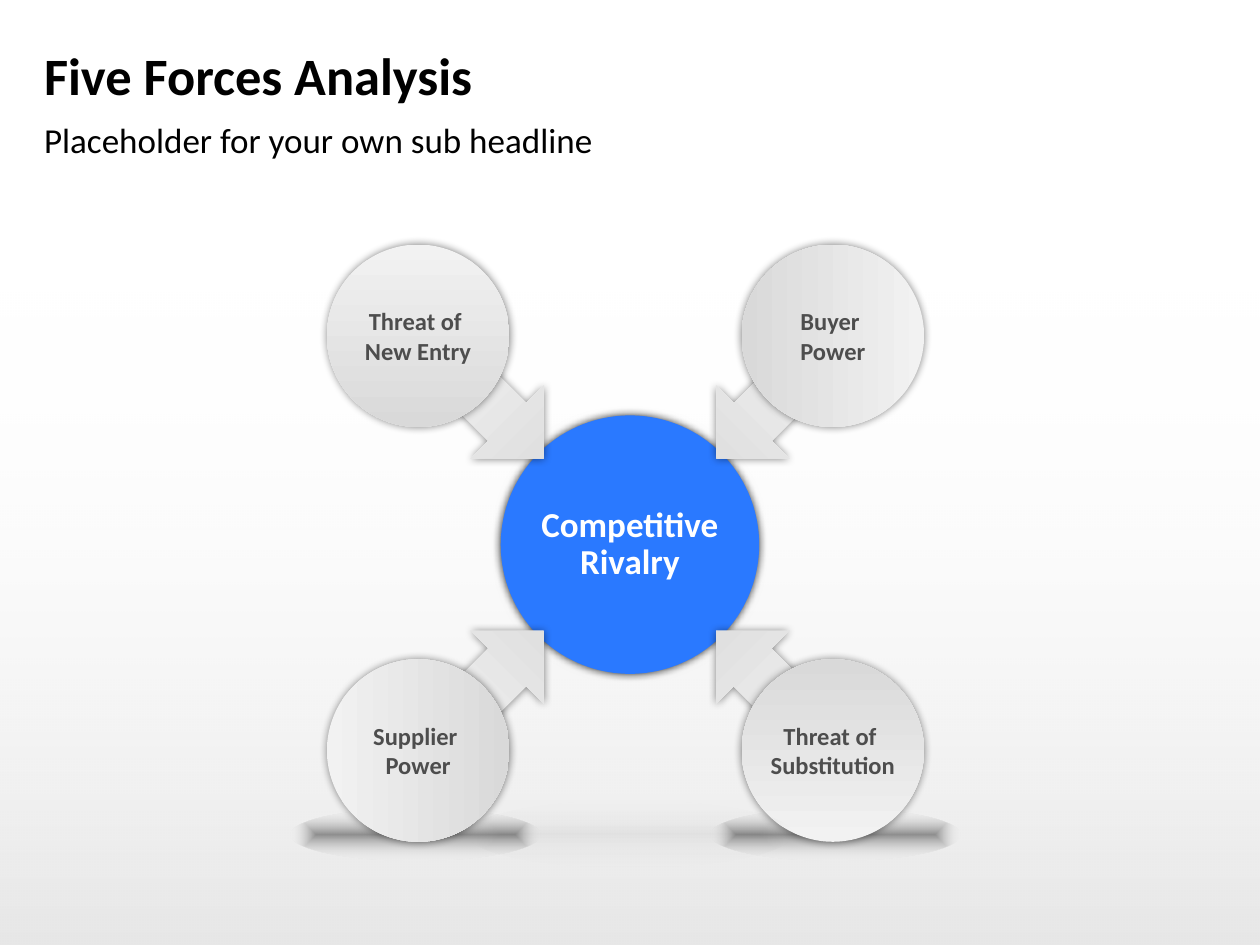
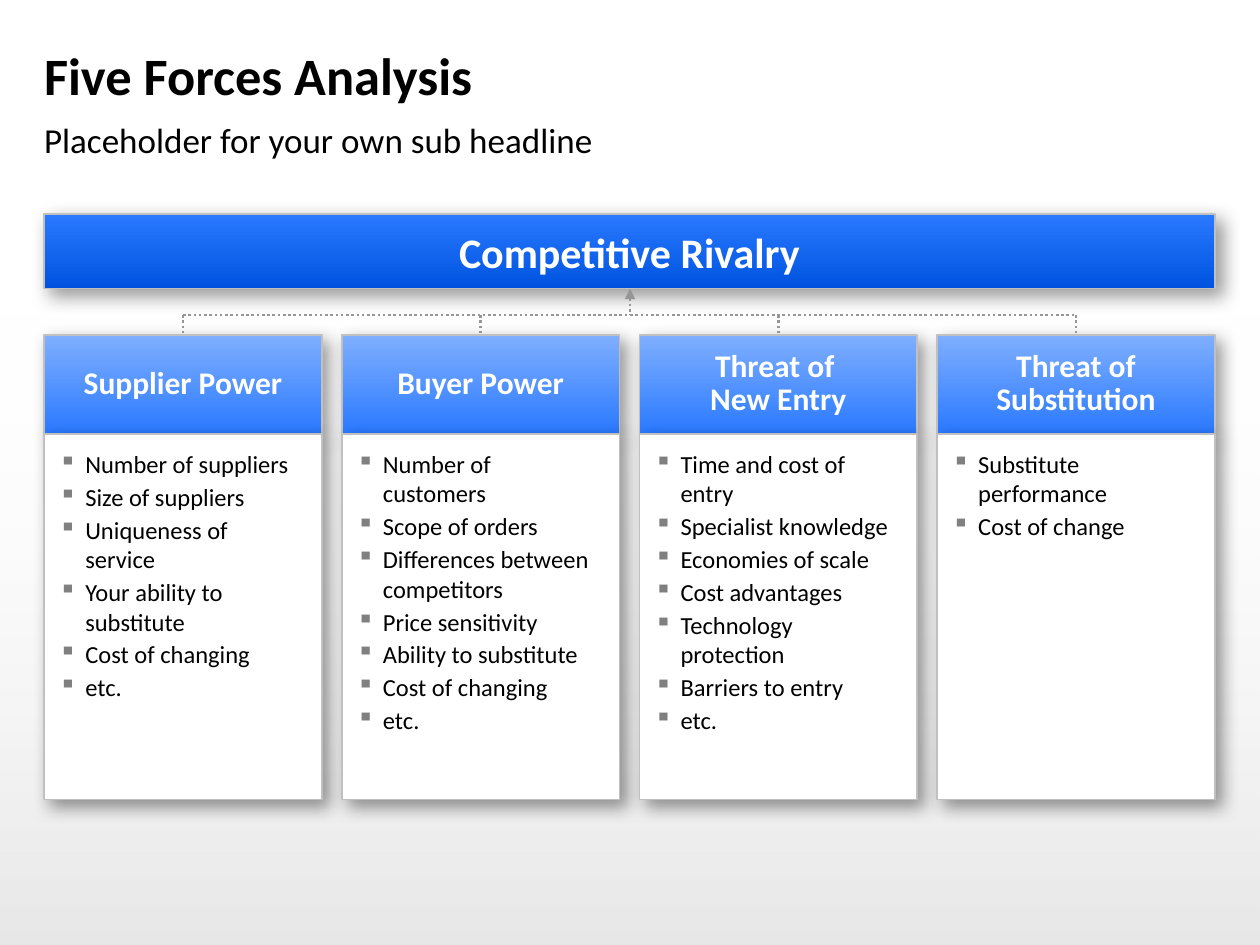
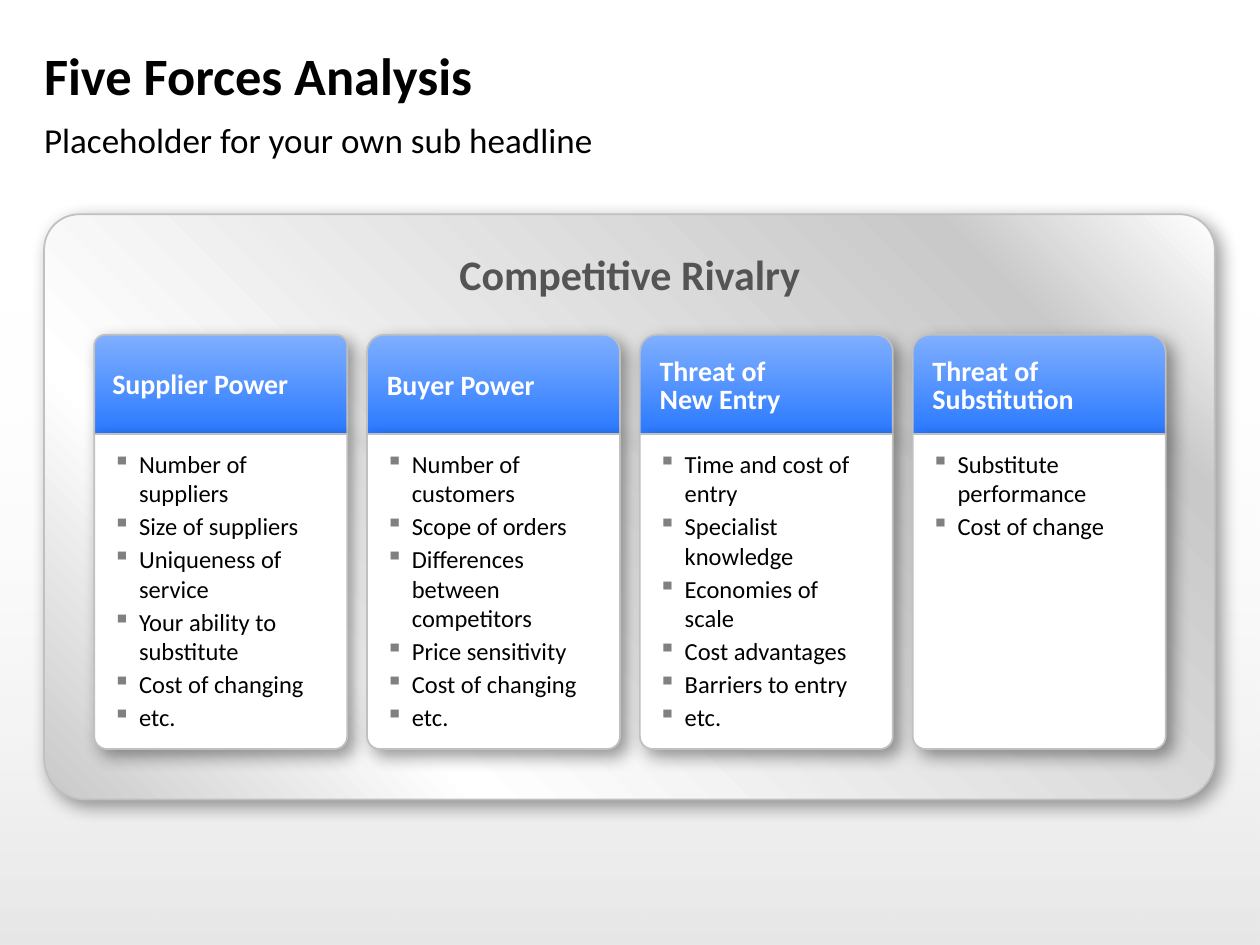
from dataclasses import dataclass

from pptx import Presentation
from pptx.dml.color import RGBColor
from pptx.enum.dml import MSO_LINE
from pptx.enum.shapes import MSO_CONNECTOR, MSO_SHAPE
from pptx.enum.text import MSO_ANCHOR, PP_ALIGN
from pptx.oxml import parse_xml
from pptx.oxml.ns import nsdecls, qn
from pptx.util import Cm, Pt


@dataclass(frozen=True)
class Theme:
    font: str = "Calibri"
    black: str = "000000"
    white: str = "FFFFFF"
    blue: str = "2A79FF"
    light_blue: str = "7FAFFF"
    dark_blue: str = "0053DF"
    light_grey: str = "F2F2F2"
    mid_grey: str = "D9D9D9"
    silver: str = "C9C9C9"
    border: str = "C0C0C0"
    link: str = "969696"
    bullet: str = "808080"
    force_text: str = "4D4D4D"
    panel_text: str = "545454"
    title_size: int = 30
    banner_size: int = 24
    large_size: int = 20
    head_size: int = 18
    small_head_size: int = 16
    body_size: int = 14


@dataclass(frozen=True)
class Gradient:
    """Stops are (position %, colour, opacity %); no angle means from the centre out."""
    stops: tuple
    angle: int | None = None


@dataclass(frozen=True)
class Shadow:
    opacity: int
    blur: int
    distance: int = 0
    direction: int = 0


THEME = Theme()
CARD_SHADOW = Shadow(40, 10, 5, 45)
FORCE_SHADOW = Shadow(47, 5)
HUB_SHADOW = Shadow(79, 5)

SLIDE_W, SLIDE_H = 25.4, 19.05
MARGIN, CONTENT_W = 0.89, 23.6
CONTENT_TOP, CONTENT_BOTTOM = 4.32, 16.12
HEAD_TOP, HEAD_H = 6.75, 2.0
BANNER_H = 1.5
COLUMN_GAP = 0.4
HEAD_INSETS = (0.3, 0.2, 0.3, 0.2)
LIST_INSETS = (0.3, 0.3, 0.4, 0.2)

RIVALRY = "Competitive Rivalry"
FACTORS = {
    "Supplier Power": [
        "Number of suppliers", "Size of suppliers", "Uniqueness of service",
        "Your ability to substitute", "Cost of changing", "etc."],
    "Buyer Power": [
        "Number of customers", "Scope of orders", "Differences between competitors",
        "Price sensitivity", "Ability to substitute", "Cost of changing", "etc."],
    "Threat of \nNew Entry": [
        "Time and cost of entry", "Specialist knowledge", "Economies of scale",
        "Cost advantages", "Technology protection", "Barriers to entry", "etc."],
    "Threat of Substitution": ["Substitute performance", "Cost of change"],
}
LEFT_OUT_OF_PANEL = ("Ability to substitute", "Technology protection")


def blend(start, end, angle):
    return Gradient(((0, start, 100), (100, end, 100)), angle)


def fade(opacity, angle=None):
    return Gradient(((0, THEME.black, opacity), (100, THEME.white, 0)), angle)


def centred(x, y, width, height):
    return x - width / 2, y - height / 2, width, height


def apply_gradient(shape, gradient):
    stops = "".join(
        f'<a:gs pos="{position * 1000}"><a:srgbClr val="{color}">'
        f'<a:alpha val="{opacity * 1000}"/></a:srgbClr></a:gs>'
        for position, color, opacity in gradient.stops)
    if gradient.angle is None:
        course = ('<a:path path="shape"><a:fillToRect l="50000" t="50000" '
                  'r="50000" b="50000"/></a:path>')
    else:
        course = f'<a:lin ang="{gradient.angle * 60000}" scaled="0"/>'
    shape.fill.solid()
    solid = shape.element.spPr.find(qn("a:solidFill"))
    solid.getparent().replace(solid, parse_xml(
        f'<a:gradFill {nsdecls("a")} rotWithShape="1">'
        f'<a:gsLst>{stops}</a:gsLst>{course}</a:gradFill>'))


def apply_shadow(shape, shadow):
    effects = shape.element.spPr.find(qn("a:effectLst"))
    effects.append(parse_xml(
        f'<a:outerShdw {nsdecls("a")} blurRad="{Pt(shadow.blur)}" '
        f'dist="{Pt(shadow.distance)}" dir="{shadow.direction * 60000}" '
        f'algn="ctr" rotWithShape="0"><a:srgbClr val="{THEME.black}">'
        f'<a:alpha val="{shadow.opacity * 1000}"/></a:srgbClr></a:outerShdw>'))


def add_part(slide, kind, box, fill=None, border=None, shadow=None,
             adjust=(), rotation=0):
    part = slide.shapes.add_shape(kind, *(Cm(length) for length in box))
    part.shadow.inherit = False
    part.rotation = rotation
    for index, value in enumerate(adjust):
        part.adjustments[index] = value
    if isinstance(fill, Gradient):
        apply_gradient(part, fill)
    elif fill:
        part.fill.solid()
        part.fill.fore_color.rgb = RGBColor.from_string(fill)
    else:
        part.fill.background()
    if border:
        part.line.color.rgb = RGBColor.from_string(border)
        part.line.width = Pt(1)
    else:
        part.line.fill.background()
    if shadow:
        apply_shadow(part, shadow)
    return part


def add_bullet(paragraph):
    properties = paragraph._p.get_or_add_pPr()
    properties.set("marL", str(Cm(0.53)))
    properties.set("indent", str(-Cm(0.53)))
    properties.append(parse_xml(
        f'<a:buClr {nsdecls("a")}><a:srgbClr val="{THEME.bullet}"/></a:buClr>'))
    properties.append(parse_xml(f'<a:buChar {nsdecls("a")} char="▪"/>'))


def write_text(shape, text, *, size, color=THEME.black, bold=False,
               align=PP_ALIGN.LEFT, anchor=MSO_ANCHOR.MIDDLE, insets=(0, 0, 0, 0),
               wrap=True, line_spacing=None, before=None, after=None, bullets=False):
    """Fill a shape with one paragraph, or with one for each item of a list."""
    frame = shape.text_frame
    frame.word_wrap = wrap
    frame.vertical_anchor = anchor
    (frame.margin_left, frame.margin_top,
     frame.margin_right, frame.margin_bottom) = (Cm(inset) for inset in insets)
    for index, line in enumerate([text] if isinstance(text, str) else text):
        paragraph = frame.add_paragraph() if index else frame.paragraphs[0]
        paragraph.text = line.replace("\n", "\v")
        paragraph.alignment = align
        if line_spacing:
            paragraph.line_spacing = line_spacing
        if before:
            paragraph.space_before = Pt(before)
        if after:
            paragraph.space_after = Pt(after)
        if bullets:
            add_bullet(paragraph)
        for run in paragraph.runs:
            run.font.name = THEME.font
            run.font.size = Pt(size)
            run.font.bold = bold
            run.font.color.rgb = RGBColor.from_string(color)


def add_link(slide, start, end, arrow=False):
    """Draw a dotted line, with an arrowhead at its start if asked."""
    link = slide.shapes.add_connector(
        MSO_CONNECTOR.STRAIGHT, *(Cm(length) for length in (*start, *end)))
    link.line.color.rgb = RGBColor.from_string(THEME.link)
    link.line.width = Pt(1.5)
    link.line.dash_style = MSO_LINE.ROUND_DOT
    properties = link.element.spPr
    if arrow:
        properties.find(qn("a:ln")).append(
            parse_xml(f'<a:headEnd {nsdecls("a")} type="triangle"/>'))
    properties.append(parse_xml(f'<a:effectLst {nsdecls("a")}/>'))


def add_headed_slide(deck):
    slide = deck.slides.add_slide(deck.slide_layouts[6])
    band_top = 5.61
    add_part(slide, MSO_SHAPE.RECTANGLE,
             (0, band_top, SLIDE_W, SLIDE_H - band_top), fade(10, 270))
    title, subtitle = (
        slide.shapes.add_textbox(Cm(MARGIN), Cm(top), Cm(CONTENT_W), Cm(height))
        for top, height in ((0.66, 1.7), (2.39, 0.94)))
    write_text(title, "Five Forces Analysis", size=THEME.title_size, bold=True)
    write_text(subtitle, "Placeholder for your own sub headline",
               size=THEME.large_size, anchor=MSO_ANCHOR.TOP, before=4.3)
    return slide


def column_grid(left, total):
    """Return the left edges and the width of the columns."""
    count = len(FACTORS)
    width = (total - (count - 1) * COLUMN_GAP) / count
    return [left + index * (width + COLUMN_GAP) for index in range(count)], width


def add_column_head(slide, kind, left, width, force, adjust=(), **text_format):
    head = add_part(slide, kind, (left, HEAD_TOP, width, HEAD_H),
                    blend(THEME.light_blue, THEME.blue, 90),
                    THEME.border, CARD_SHADOW, adjust)
    write_text(head, force, color=THEME.white, bold=True, insets=HEAD_INSETS,
               line_spacing=0.85, **text_format)


def add_factor_list(slide, kind, left, width, bottom, factors, adjust=()):
    top = HEAD_TOP + HEAD_H
    card = add_part(slide, kind, (left, top, width, bottom - top), THEME.white,
                    THEME.border, CARD_SHADOW, adjust)
    write_text(card, factors, size=THEME.body_size, anchor=MSO_ANCHOR.TOP,
               insets=LIST_INSETS, after=2, bullets=True)


def build_forces_diagram(slide):
    hub_x, hub_y = 12.7, 10.98
    ring_x, ring_y, ring_offset = 12.61, 10.95, 4.18
    arrow_offset = 2.51
    ground_y = 16.82
    # label, horizontal side, vertical side, arrow rotation, gradient angle
    forces = (
        ("Supplier \nPower", -1, 1, 315, 0),
        ("Buyer \nPower", 1, -1, 135, 180),
        ("Threat of \nNew Entry", -1, -1, 45, 90),
        ("Threat of \nSubstitution", 1, 1, 225, 270),
    )
    for side in (1, -1):
        add_part(slide, MSO_SHAPE.OVAL,
                 centred(ring_x + side * 4.23, ground_y, 5.03, 1.04), fade(40))

    hub = add_part(slide, MSO_SHAPE.OVAL, centred(hub_x, hub_y, 5.21, 5.21),
                   THEME.blue, shadow=HUB_SHADOW)
    write_text(hub, RIVALRY.replace(" ", "\n"), size=THEME.large_size,
               color=THEME.white, bold=True, align=PP_ALIGN.CENTER,
               insets=(0, 0.13, 0, 0.13), wrap=False, line_spacing=0.9)

    for _, side_x, side_y, rotation, _ in forces:
        add_part(slide, MSO_SHAPE.RIGHT_ARROW,
                 centred(hub_x + side_x * arrow_offset,
                         hub_y + side_y * arrow_offset, 2.18, 2.08),
                 blend(THEME.light_grey, THEME.mid_grey, 0),
                 shadow=FORCE_SHADOW, adjust=(0.52, 0.5), rotation=rotation)
    for label, side_x, side_y, _, angle in forces:
        force = add_part(slide, MSO_SHAPE.OVAL,
                         centred(ring_x + side_x * ring_offset,
                                 ring_y + side_y * ring_offset, 3.68, 3.68),
                         blend(THEME.light_grey, THEME.mid_grey, angle),
                         shadow=FORCE_SHADOW)
        write_text(force, label, size=THEME.body_size, color=THEME.force_text,
                   bold=True, align=PP_ALIGN.CENTER,
                   insets=(0.25, 0.13, 0.25, 0.13), wrap=False)

    add_part(slide, MSO_SHAPE.OVAL, centred(hub_x, ground_y, 6.53, 1.35), fade(5))


def build_forces_tree(slide):
    lefts, width = column_grid(MARGIN, CONTENT_W)
    for left, (force, factors) in zip(lefts, FACTORS.items()):
        add_column_head(slide, MSO_SHAPE.RECTANGLE, left, width, force,
                        size=THEME.head_size, align=PP_ALIGN.CENTER)
        add_factor_list(slide, MSO_SHAPE.RECTANGLE, left, width,
                        CONTENT_BOTTOM, factors)

    banner = add_part(slide, MSO_SHAPE.RECTANGLE,
                      (MARGIN, CONTENT_TOP, CONTENT_W, BANNER_H),
                      blend(THEME.blue, THEME.dark_blue, 90),
                      THEME.border, CARD_SHADOW)
    write_text(banner, RIVALRY, size=THEME.banner_size, color=THEME.white,
               bold=True, align=PP_ALIGN.CENTER, insets=HEAD_INSETS)

    rail_y = 6.35
    stems = [left + width / 2 for left in lefts]
    add_link(slide, (stems[0], rail_y), (stems[-1], rail_y))
    for stem in stems:
        add_link(slide, (stem, rail_y), (stem, HEAD_TOP))
    middle = SLIDE_W / 2
    add_link(slide, (middle, CONTENT_TOP + BANNER_H), (middle, rail_y), arrow=True)


def build_forces_panel(slide):
    rounded = MSO_SHAPE.ROUND_2_SAME_RECTANGLE
    inner_left, inner_width, inner_bottom = 1.9, 21.6, 15.1
    metal = Gradient(((0, THEME.white, 100), (16, THEME.silver, 100),
                      (75, THEME.white, 100), (100, THEME.silver, 100)), 135)
    add_part(slide, rounded,
             (MARGIN, CONTENT_TOP, CONTENT_W, CONTENT_BOTTOM - CONTENT_TOP),
             metal, THEME.border, CARD_SHADOW, adjust=(0.06, 0.07))
    heading = add_part(slide, MSO_SHAPE.ROUNDED_RECTANGLE,
                       (inner_left, 4.85, inner_width, BANNER_H), adjust=(0.5,))
    write_text(heading, RIVALRY, size=THEME.banner_size, color=THEME.panel_text,
               bold=True, align=PP_ALIGN.CENTER, insets=HEAD_INSETS,
               line_spacing=0.85)

    lefts, width = column_grid(inner_left, inner_width)
    for left, (force, factors) in zip(lefts, FACTORS.items()):
        corner = 0.11 if left == inner_left else 0.17
        add_column_head(slide, rounded, left, width, force, adjust=(corner, 0),
                        size=THEME.small_head_size)
        shown = [factor for factor in factors if factor not in LEFT_OUT_OF_PANEL]
        add_factor_list(slide, rounded, left, width, inner_bottom, shown,
                        adjust=(0, 0.05))


def main():
    deck = Presentation()
    deck.slide_width, deck.slide_height = Cm(SLIDE_W), Cm(SLIDE_H)
    for build in (build_forces_diagram, build_forces_tree, build_forces_panel):
        build(add_headed_slide(deck))
    deck.save("out.pptx")


if __name__ == "__main__":
    main()
